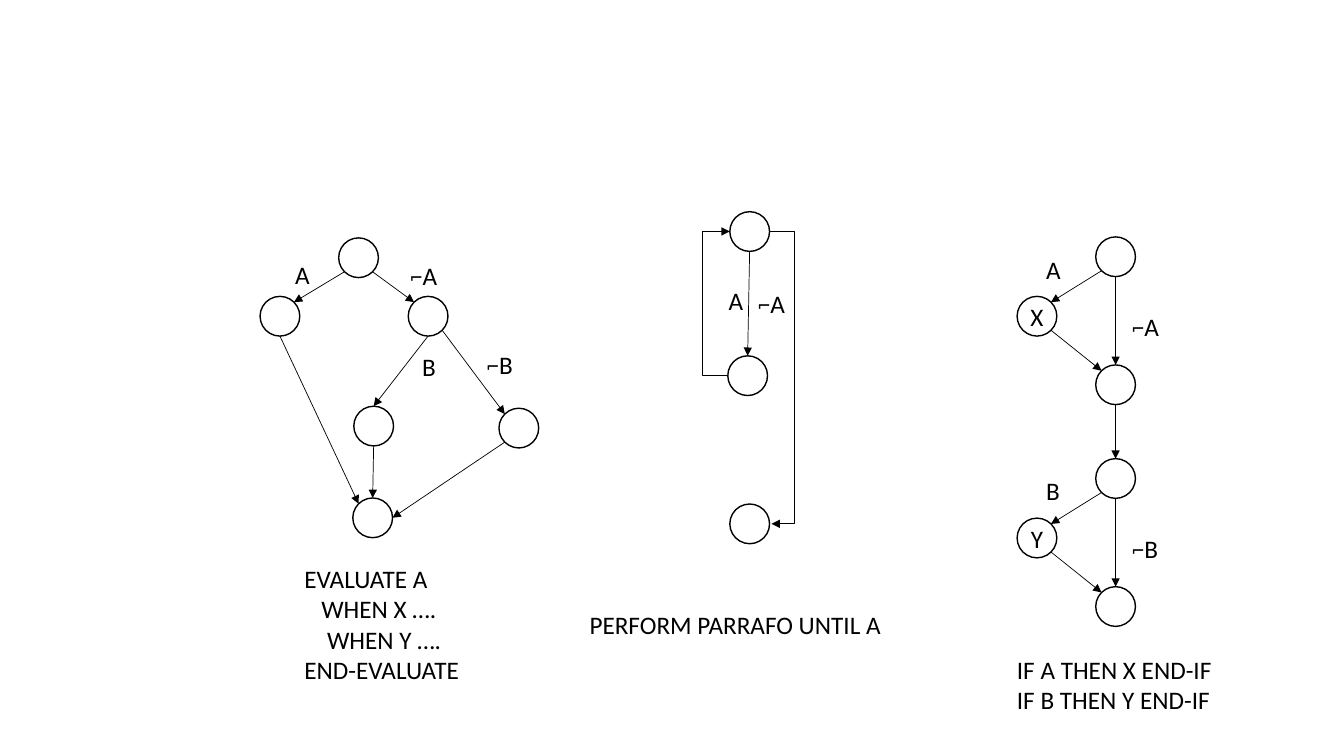
from math import hypot
from lxml.etree import SubElement
from pptx import Presentation
from pptx.dml.color import RGBColor
from pptx.enum.shapes import MSO_CONNECTOR, MSO_SHAPE
from pptx.enum.text import MSO_ANCHOR, MSO_AUTO_SIZE, PP_ALIGN
from pptx.oxml.ns import qn
from pptx.util import Inches, Pt

# The slide is a grid of square cells, ten to the inch
COLS, ROWS = 133.33, 75
SIZE = 3.94  # node diameter in cells
SIDES = {"n": (0, -1), "s": (0, 1), "w": (-1, 0), "e": (1, 0),
         "nw": (-1, -1), "ne": (1, -1), "sw": (-1, 1), "se": (1, 1)}
FONT = {"name": "Calibri", "size": Pt(18), "bold": False}
LABEL = {"word_wrap": False, "auto_size": MSO_AUTO_SIZE.SHAPE_TO_FIT_TEXT}
INNER = {"word_wrap": False, "vertical_anchor": MSO_ANCHOR.MIDDLE}


def cell(n):
    return Inches(n / 10)


def color(code):
    return RGBColor.from_string(code)


def style(part, values):
    for key, value in values.items():
        setattr(part, key, value)


def write(frame, lines, form, align):
    style(frame, form)
    frame.text = "\n".join(lines)
    for para in frame.paragraphs:
        para.alignment = align
        style(para.font, FONT)
        para.font.color.rgb = color("000000")


def label(slide, col, row, width, *lines):
    high = 1 + 3.03 * len(lines)
    box = slide.shapes.add_textbox(*map(cell, (col, row, width, high)))
    write(box.text_frame, lines, LABEL, PP_ALIGN.LEFT)


def node(slide, col, row, name=""):
    """Draw a circle and return its top left cell."""
    dot = slide.shapes.add_shape(MSO_SHAPE.OVAL, cell(col), cell(row),
                                 cell(SIZE), cell(SIZE))
    dot.shadow.inherit = False
    dot.fill.solid()
    dot.fill.fore_color.rgb = color("FFFFFF")
    dot.line.color.rgb = color("000000")
    dot.line.width = Pt(1)
    if name:
        write(dot.text_frame, [name], INNER, PP_ALIGN.CENTER)
    return col, row


def rim(spot, side):
    """Find the point on a node's edge that faces the given side."""
    dx, dy = SIDES[side]
    half = SIZE / 2
    reach = half / hypot(dx, dy)
    return spot[0] + half + dx * reach, spot[1] + half + dy * reach


def arrow(slide, start, end, bend=None):
    """Draw an arrow; bend is the column of an elbow's upright part."""
    kind = MSO_CONNECTOR.STRAIGHT if bend is None else MSO_CONNECTOR.ELBOW
    link = slide.shapes.add_connector(kind, *map(cell, (*start, *end)))
    link.line.color.rgb = color("000000")
    link.line.width = Pt(0.5)
    props = link._element.spPr
    SubElement(link.line._get_or_add_ln(), qn("a:tailEnd"), type="triangle")
    SubElement(props, qn("a:effectLst"))
    if bend is not None:
        share = (bend - start[0]) / (end[0] - start[0])
        guides = props.find(qn("a:prstGeom")).get_or_add_avLst()
        SubElement(guides, qn("a:gd"), name="adj1",
                   fmla=f"val {round(share * 100000)}")


def join(slide, first, out, last, into):
    arrow(slide, rim(first, out), rim(last, into))


def choice(slide):
    top = node(slide, 33.6, 23.6)
    left = node(slide, 25.8, 29.4)
    right = node(slide, 40.5, 29.4)
    near = node(slide, 35.1, 40.3)
    far = node(slide, 49.5, 40.5)
    base = node(slide, 35, 49.4)
    for link in ((top, "sw", left, "ne"), (top, "se", right, "nw"),
                 (left, "s", base, "nw"), (right, "s", near, "n"),
                 (right, "se", far, "nw"), (near, "s", base, "n"),
                 (far, "sw", base, "e")):
        join(slide, *link)
    label(slide, 28.3, 25.2, 4.1, "A")
    label(slide, 39.7, 25.3, 5.3, "⌐A")
    label(slide, 40.9, 34.4, 4.1, "B")
    label(slide, 47.3, 34.2, 5.3, "⌐B")
    label(slide, 29.2, 55.4, 17.5, "EVALUATE A", "   WHEN X ….",
          "    WHEN Y ….", "END-EVALUATE")


def loop(slide):
    test = node(slide, 72.4, 21)
    body = node(slide, 72.2, 35.3)
    done = node(slide, 72.4, 50)
    join(slide, test, "s", body, "n")
    arrow(slide, rim(body, "w"), rim(test, "w"), bend=69.7)
    col, row = rim(done, "e")
    arrow(slide, rim(test, "e"), (col + 0.2, row), bend=78.8)
    label(slide, 71.3, 27.8, 4.1, "A")
    label(slide, 74.2, 28.1, 5.3, "⌐A")
    label(slide, 57.5, 60, 31.2, "PERFORM PARRAFO UNTIL A")


def branch(slide, row, test, name):
    """Draw one IF and return its first and last nodes."""
    top = node(slide, 108.7, row)
    step = node(slide, 100.9, row + 5.9, name)
    base = node(slide, 108.7, row + 12.7)
    join(slide, top, "sw", step, "ne")
    join(slide, step, "se", base, "nw")
    join(slide, top, "s", base, "n")
    label(slide, 102.8, row + 1.2, 4.1, test)
    label(slide, 111.3, row + 6.9, 5.3, "⌐" + test)
    return top, base


def main():
    deck = Presentation()
    style(deck, {"slide_width": cell(COLS), "slide_height": cell(ROWS)})
    slide = deck.slides.add_slide(deck.slide_layouts[6])

    # EVALUATE and PERFORM graphs
    choice(slide)
    loop(slide)

    # Two IF graphs in sequence
    _, end = branch(slide, 23.5, "A", "X")
    start, _ = branch(slide, 45.5, "B", "Y")
    join(slide, end, "s", start, "n")
    label(slide, 99.9, 64.4, 21.5, "IF A THEN X END-IF", "IF B THEN Y END-IF")

    deck.save("out.pptx")


if __name__ == "__main__":
    main()
